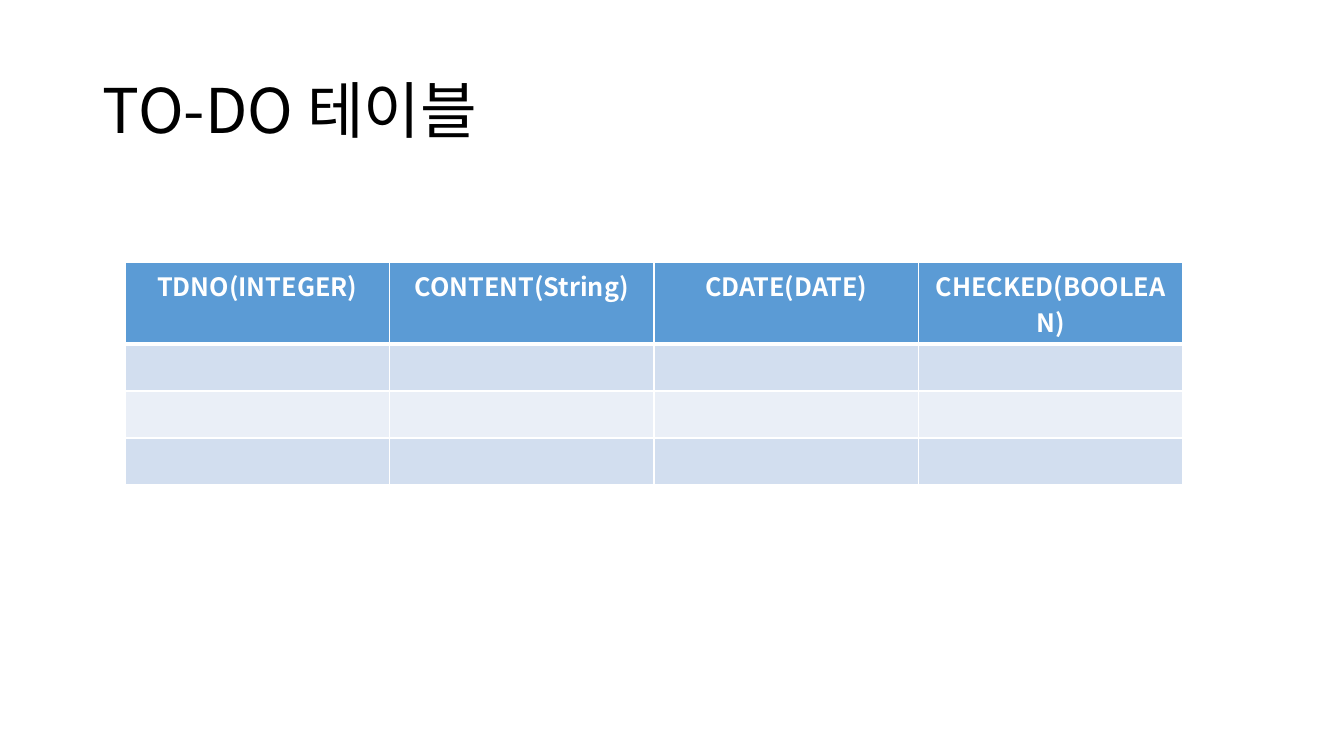
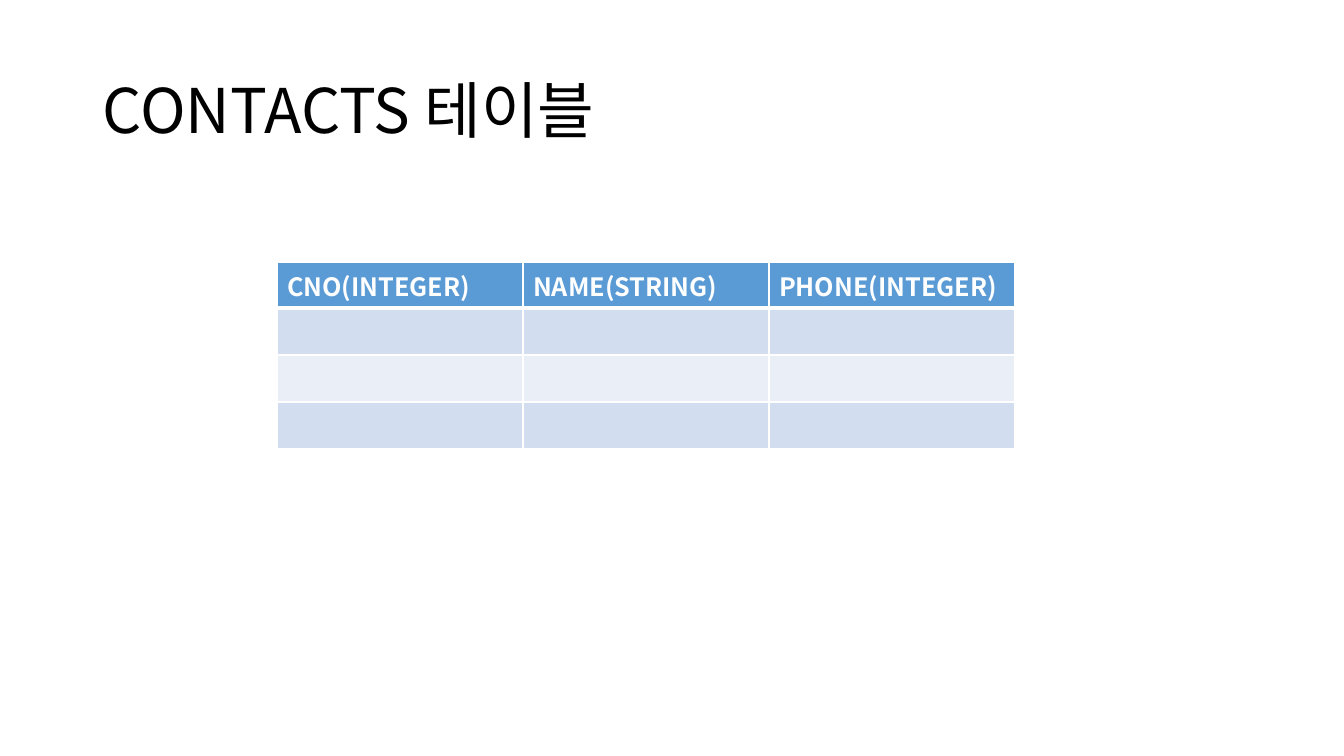
from dataclasses import dataclass

from lxml import etree
from pptx import Presentation
from pptx.dml.color import RGBColor
from pptx.enum.text import MSO_ANCHOR, PP_ALIGN
from pptx.oxml.ns import qn
from pptx.util import Pt

EMU_PER_PIXEL = 12192000 / 1344
FONT = "Noto Sans CJK KR"
COLORS = {
    "title": "000000",
    "header": "5B9BD5",
    "header_text": "FFFFFF",
    "odd_row": "D2DEEF",
    "even_row": "EAEFF7",
    "border": "FFFFFF",
}
LEFT, CENTER = PP_ALIGN.LEFT, PP_ALIGN.CENTER
MIDDLE = MSO_ANCHOR.MIDDLE
TITLE_BOX = (93, 41, 1159, 146)
TITLE_SIZE, CELL_SIZE = 44, 18
TABLE_TOP, BODY_ROW_HEIGHT, BODY_ROWS = 262, 47, 3
THIN, THICK = 1, 3


@dataclass(frozen=True)
class SchemaSlide:
    """A database table with its typed columns."""
    title: str
    columns: tuple[str, ...]
    left: int
    width: int
    header_height: int
    alignment: PP_ALIGN


SCHEMAS = (
    SchemaSlide(
        "TO-DO 테이블",
        ("TDNO(INTEGER)", "CONTENT(String)", "CDATE(DATE)", "CHECKED(BOOLEAN)"),
        125, 1058, 82, CENTER,
    ),
    SchemaSlide(
        "CONTACTS 테이블",
        ("CNO(INTEGER)", "NAME(STRING)", "PHONE(INTEGER)"),
        277, 738, 46, LEFT,
    ),
)


def px(pixels: float) -> int:
    """Turn pixels into EMU."""
    return round(pixels * EMU_PER_PIXEL)


def rgb(role: str) -> RGBColor:
    """Look up the colour of a role."""
    return RGBColor.from_string(COLORS[role])


def style_run(run, size: int, role: str, bold: bool = False) -> None:
    """Format a run, for Latin and Korean letters alike."""
    run.font.size = Pt(size)
    run.font.name = FONT
    run.font.bold = bold
    run.font.color.rgb = rgb(role)
    properties = run._r.get_or_add_rPr()
    etree.SubElement(properties, qn("a:ea"), typeface=FONT)


def style_empty(paragraph) -> None:
    """Give an empty paragraph the line height of the cell font."""
    end = etree.SubElement(paragraph._p, qn("a:endParaRPr"), sz=str(CELL_SIZE * 100))
    for script in ("a:latin", "a:ea"):
        etree.SubElement(end, qn(script), typeface=FONT)


def draw_borders(cell, top: int, bottom: int) -> None:
    """Draw the four cell borders, with widths in points."""
    properties = cell._tc.get_or_add_tcPr()
    widths = {"a:lnL": THIN, "a:lnR": THIN, "a:lnT": top, "a:lnB": bottom}
    for index, (side, width) in enumerate(widths.items()):
        line = etree.Element(qn(side), w=str(Pt(width)))
        fill = etree.SubElement(line, qn("a:solidFill"))
        etree.SubElement(fill, qn("a:srgbClr"), val=COLORS["border"])
        properties.insert(index, line)


def add_title(slide, title: str) -> None:
    """Add the slide title."""
    frame = slide.shapes.add_textbox(*map(px, TITLE_BOX)).text_frame
    frame.word_wrap = True
    frame.vertical_anchor = MIDDLE
    frame.text = title
    paragraph = frame.paragraphs[0]
    paragraph.line_spacing = 0.9
    style_run(paragraph.runs[0], TITLE_SIZE, "title")


def add_schema_table(slide, schema: SchemaSlide) -> None:
    """Add a header of column names above empty banded rows."""
    height = schema.header_height + BODY_ROWS * BODY_ROW_HEIGHT
    table = slide.shapes.add_table(
        1 + BODY_ROWS, len(schema.columns), px(schema.left), px(TABLE_TOP),
        px(schema.width), px(height),
    ).table
    for column in table.columns:
        column.width = px(schema.width / len(schema.columns))
    for row_index, row in enumerate(table.rows):
        is_header = row_index == 0
        row.height = px(schema.header_height if is_header else BODY_ROW_HEIGHT)
        band = "odd_row" if row_index % 2 else "even_row"
        for cell, name in zip(row.cells, schema.columns):
            cell.fill.solid()
            cell.fill.fore_color.rgb = rgb("header" if is_header else band)
            draw_borders(
                cell,
                top=THICK if row_index == 1 else THIN,
                bottom=THICK if is_header else THIN,
            )
            paragraph = cell.text_frame.paragraphs[0]
            if is_header:
                paragraph.text = name
                paragraph.alignment = schema.alignment
                style_run(paragraph.runs[0], CELL_SIZE, "header_text", bold=True)
            else:
                style_empty(paragraph)


def main() -> None:
    """Build and save the presentation."""
    presentation = Presentation()
    presentation.slide_width = px(1344)
    presentation.slide_height = px(756)
    blank = presentation.slide_layouts[6]
    for schema in SCHEMAS:
        slide = presentation.slides.add_slide(blank)
        add_title(slide, schema.title)
        add_schema_table(slide, schema)
    presentation.save("out.pptx")


main()
